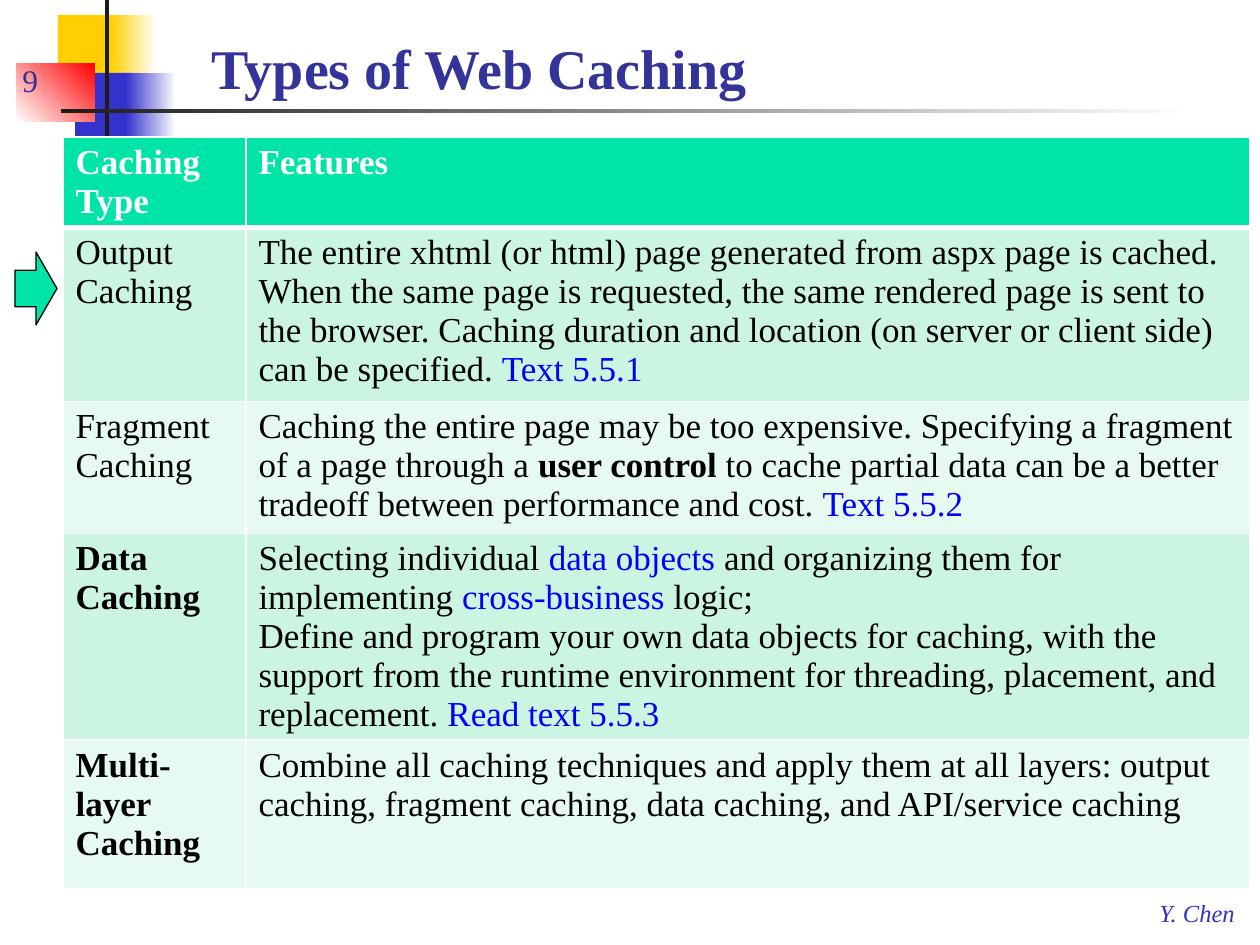
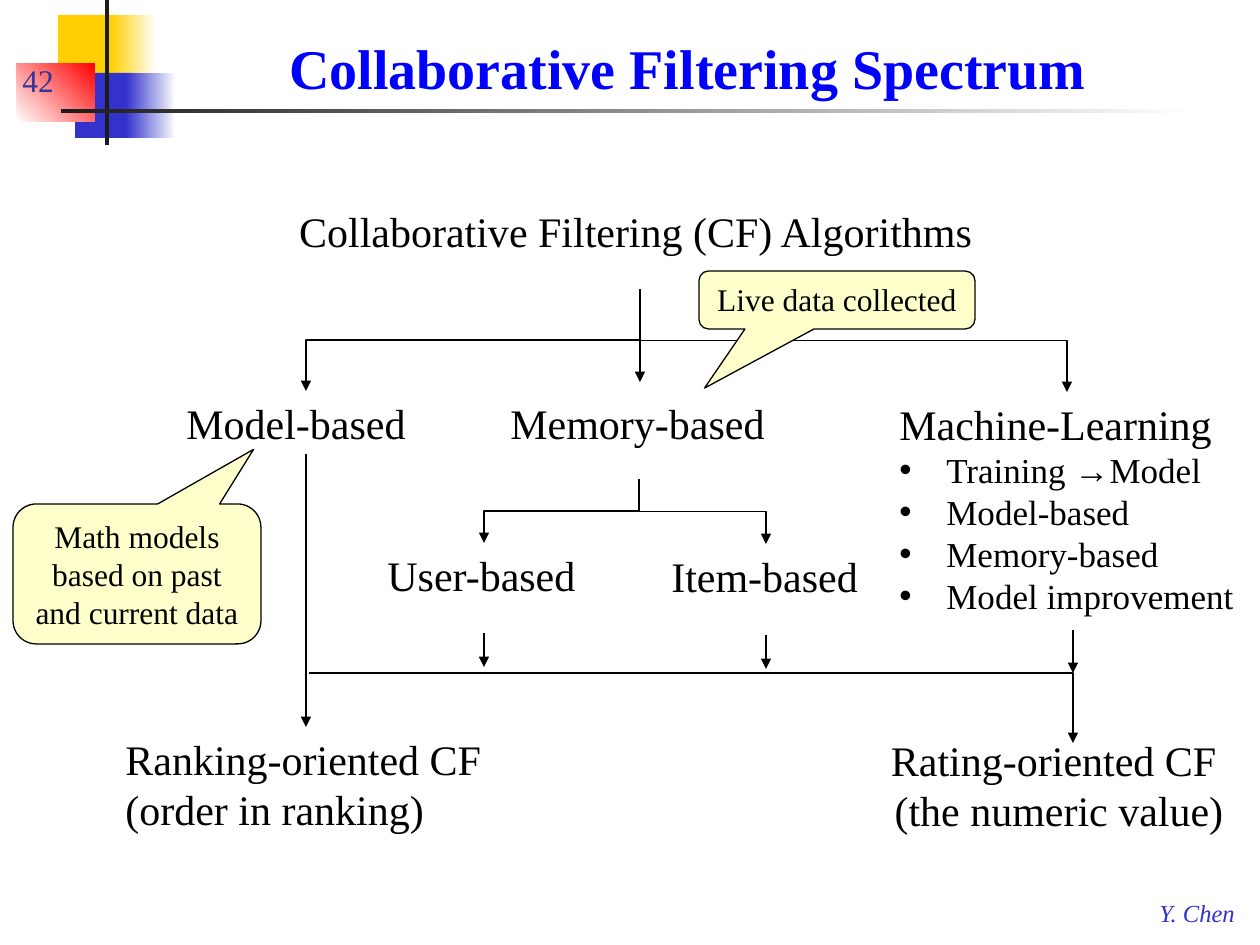
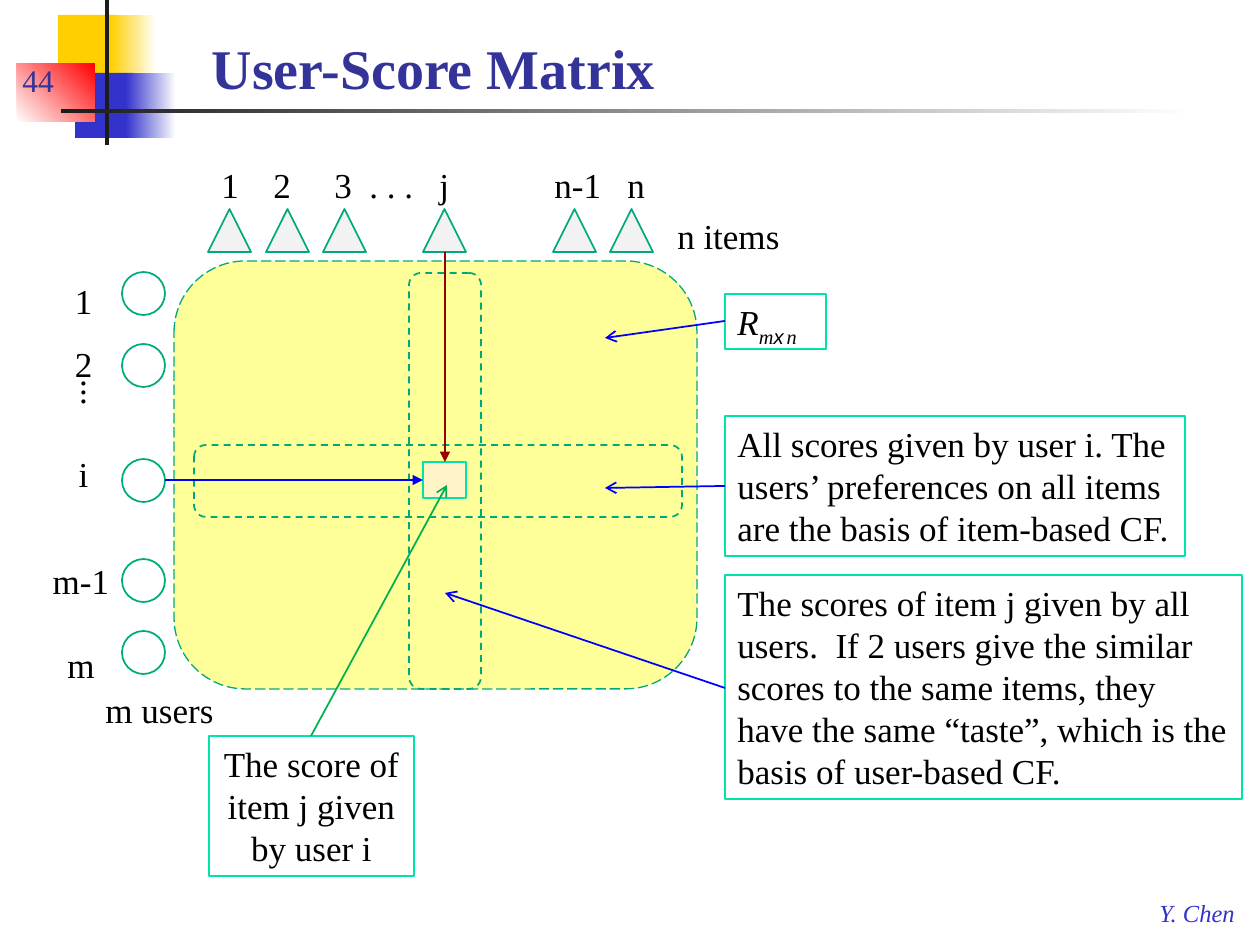
"""Build three lecture slides on web caching and collaborative filtering."""
from lxml import etree
from pptx import Presentation
from pptx.dml.color import RGBColor
from pptx.enum.dml import MSO_LINE
from pptx.enum.shapes import MSO_CONNECTOR, MSO_SHAPE
from pptx.enum.text import MSO_ANCHOR, MSO_AUTO_SIZE, PP_ALIGN
from pptx.oxml.ns import qn
from pptx.util import Inches, Pt

PIXEL = Inches(1) // 126
FONT = "Times New Roman"
LEFT, CENTER = PP_ALIGN.LEFT, PP_ALIGN.CENTER
TOP, BOTTOM = MSO_ANCHOR.TOP, MSO_ANCHOR.BOTTOM
FIXED, GROW = MSO_AUTO_SIZE.NONE, MSO_AUTO_SIZE.SHAPE_TO_FIT_TEXT
RECTANGLE, ROUNDED = MSO_SHAPE.RECTANGLE, MSO_SHAPE.ROUNDED_RECTANGLE
CIRCLE, TRIANGLE = MSO_SHAPE.OVAL, MSO_SHAPE.ISOSCELES_TRIANGLE
RIGHT_ARROW, CALLOUT = MSO_SHAPE.RIGHT_ARROW, MSO_SHAPE.ROUNDED_RECTANGULAR_CALLOUT
STRAIGHT, ELBOW = MSO_CONNECTOR.STRAIGHT, MSO_CONNECTOR.ELBOW
DASH, LONG_DASH = MSO_LINE.DASH, MSO_LINE.LONG_DASH

WHITE = RGBColor(0xFF, 0xFF, 0xFF)
BLACK = RGBColor(0x00, 0x00, 0x00)
CHARCOAL = RGBColor(0x1C, 0x1C, 0x1C)
GOLD = RGBColor(0xFF, 0xCF, 0x01)
RED = RGBColor(0xFF, 0x00, 0x00)
DARK_RED = RGBColor(0x99, 0x00, 0x00)
INDIGO = RGBColor(0x33, 0x33, 0xCC)
NAVY = RGBColor(0x33, 0x33, 0x99)
BLUE = RGBColor(0x00, 0x00, 0xFF)
GREEN = RGBColor(0x00, 0xB0, 0x50)
MINT = RGBColor(0x00, 0xE4, 0xA8)
TEAL = RGBColor(0x00, 0xA9, 0x7C)
BAND_DARK = RGBColor(0xCC, 0xF5, 0xE1)
BAND_LIGHT = RGBColor(0xE7, 0xFA, 0xF1)
CREAM = RGBColor(0xFF, 0xFF, 0xCC)
YELLOW = RGBColor(0xFF, 0xFF, 0x99)
SAND = RGBColor(0xFF, 0xF4, 0xC8)
GRAY = RGBColor(0xF2, 0xF2, 0xF2)


def write(shape, text, size, color=BLACK, alignment=LEFT, wrap=True, spacing=1.0, anchor=TOP):
    frame = shape.text_frame
    frame.text = text
    frame.word_wrap = wrap
    frame.auto_size = FIXED if wrap else GROW
    frame.vertical_anchor = anchor
    for paragraph in frame.paragraphs:
        paragraph.alignment = alignment
        paragraph.line_spacing = spacing
        for run in paragraph.runs:
            run.font.name = FONT
            run.font.size = Pt(size)
            run.font.color.rgb = color
    return frame


def add_arrow(slide, start, end, color=BLACK, width=0.75, head="triangle", elbow=False):
    (x1, y1), (x2, y2) = start, end
    turn = 0
    if elbow:
        turn = 90 if x2 < x1 else 270
        middle_x, middle_y = (x1 + x2) / 2, (y1 + y2) / 2
        half_run, half_rise = (y2 - y1) / 2, abs(x2 - x1) / 2
        if turn == 270:
            half_run = -half_run
        x1, x2 = middle_x - half_run, middle_x + half_run
        y1, y2 = middle_y - half_rise, middle_y + half_rise
    connector = slide.shapes.add_connector(
        ELBOW if elbow else STRAIGHT, *[int(n * PIXEL) for n in (x1, y1, x2, y2)])
    connector.line.color.rgb = color
    connector.line.width = Pt(width)
    etree.SubElement(connector.get_or_add_ln(), qn("a:tailEnd"), type=head)
    properties = connector.element.spPr
    etree.SubElement(properties, qn("a:effectLst"))
    if turn:
        properties.find(qn("a:xfrm")).set("rot", str(turn * 60000))


presentation = Presentation()
presentation.slide_width = Inches(10)
presentation.slide_height = Inches(7.5)
layout = presentation.slide_layouts[5]

slides = []
for title, number, left, width, color, alignment in [
    ("Types of Web Caching", 9, 199, 1050, NAVY, LEFT),
    ("Collaborative Filtering Spectrum", 42, 126, 1124, BLUE, CENTER),
    ("User-Score Matrix", 44, 199, 1050, NAVY, LEFT),
]:
    slide = presentation.slides.add_slide(layout)
    heading = slide.shapes.title
    heading.left, heading.top, heading.width, heading.height = [
        n * PIXEL for n in (left, 21, width, 86)]
    frame = write(heading, title, 32, color, alignment, anchor=BOTTOM)
    frame.paragraphs[0].runs[0].font.bold = True
    page_number = slide.shapes.add_textbox(*[n * PIXEL for n in (10, 42, 95, 63)])
    write(page_number, str(number), 18, NAVY, anchor=BOTTOM)
    slides.append(slide)
caching_slide, spectrum_slide, matrix_slide = slides

for box, first, last, angle in [
    ((58, 15, 60, 66), GOLD, GOLD, 0),
    ((111, 15, 45, 66), GOLD, WHITE, 0),
    ((75, 73, 58, 65), INDIGO, INDIGO, 0),
    ((126, 73, 50, 65), INDIGO, WHITE, 0),
    ((17, 63, 78, 59), WHITE, RED, 45),
    ((105, 0, 4, 145), CHARCOAL, CHARCOAL, 0),
    ((61, 109, 1134, 4), CHARCOAL, WHITE, 0),
]:
    band = caching_slide.shapes.add_shape(RECTANGLE, *[n * PIXEL for n in box])
    band.shadow.inherit = False
    band.line.fill.background()
    if first == last:
        band.fill.solid()
        band.fill.fore_color.rgb = first
    else:
        band.fill.gradient()
        band.fill.gradient_angle = angle
        for stop, color, position in zip(band.fill.gradient_stops, (first, last), (0, 1)):
            stop.color.rgb = color
            stop.position = position
    layout.shapes.element.append(band.element)
footer = caching_slide.shapes.add_textbox(*[n * PIXEL for n in (1147, 892, 103, 42)])
frame = write(footer, "Y. Chen", 14, INDIGO, wrap=False)
frame.paragraphs[0].runs[0].font.italic = True
layout.shapes.element.append(footer.element)

plain, blue, bold, header = (BLACK, False), (BLUE, False), (BLACK, True), (WHITE, True)
caching_rows = [
    (89, MINT, ("Caching Type", header), [[("Features", header)]]),
    (174, BAND_DARK, ("Output Caching", plain), [[
        ("The entire xhtml (or html) page generated from aspx page is cached. When the same page "
         "is requested, the same rendered page is sent to the browser. Caching duration and "
         "location (on server or client side) can be specified. ", plain),
        ("Text 5.5.1", blue)]]),
    (132, BAND_LIGHT, ("Fragment Caching", plain), [[
        ("Caching the entire page may be too expensive. Specifying a fragment of a page "
         "through a ", plain),
        ("user control", bold),
        (" to cache partial data can be a better tradeoff between performance and cost. ", plain),
        ("Text 5.5.2", blue)]]),
    (207, BAND_DARK, ("Data Caching", bold), [
        [("Selecting individual ", plain), ("data objects ", blue),
         ("and organizing them for implementing ", plain), ("cross-business", blue),
         (" logic;", plain)],
        [("Define and program your own data objects for caching, with the support from the "
          "runtime environment for threading, placement, and replacement. ", plain),
         ("Read text 5.5.3", blue)]]),
    (149, BAND_LIGHT, ("Multi-layer Caching", bold), [[
        ("Combine all caching techniques and apply them at all layers: output caching, "
         "fragment caching, data caching, and API/service caching", plain)]]),
]
table = caching_slide.shapes.add_table(
    len(caching_rows), 2, *[n * PIXEL for n in (63, 137, 1187, 751)]).table
table.columns[0].width = 183 * PIXEL
table.columns[1].width = 1004 * PIXEL
for row, (height, band_color, caching_type, features) in enumerate(caching_rows):
    table.rows[row].height = height * PIXEL
    for column, content in enumerate(([[caching_type]], features)):
        cell = table.cell(row, column)
        cell.fill.solid()
        cell.fill.fore_color.rgb = band_color
        for index, pieces in enumerate(content):
            frame = cell.text_frame
            paragraph = frame.add_paragraph() if index else frame.paragraphs[0]
            for text, (color, is_bold) in pieces:
                run = paragraph.add_run()
                run.text = text
                run.font.name = FONT
                run.font.size = Pt(20)
                run.font.bold = is_bold
                run.font.color.rgb = color
for cell in table.rows[0].cells:
    border = etree.Element(qn("a:lnB"), w=str(Pt(3)))
    border_fill = etree.SubElement(border, qn("a:solidFill"))
    etree.SubElement(border_fill, qn("a:srgbClr"), val=str(WHITE))
    cell._tc.get_or_add_tcPr().insert(0, border)

pointer = caching_slide.shapes.add_shape(RIGHT_ARROW, *[n * PIXEL for n in (15, 252, 42, 73)])
pointer.shadow.inherit = False
pointer.fill.solid()
pointer.fill.fore_color.rgb = MINT
pointer.line.color.rgb = BLACK
pointer.line.width = Pt(0.75)

for text, box, alignment in [
    ("Collaborative Filtering (CF) Algorithms ", (284, 199, 714, 89), CENTER),
    ("Rating-oriented CF \n(the numeric value)", (877, 728, 364, 115), CENTER),
    ("Ranking-oriented CF\n(order in ranking)", (113, 727, 384, 115), LEFT),
    ("Memory-based", (498, 391, 282, 89), LEFT),
    ("Model-based", (174, 391, 265, 63), LEFT),
    ("Item-based", (659, 544, 214, 89), LEFT),
    ("User-based", (375, 543, 215, 89), LEFT),
]:
    label = spectrum_slide.shapes.add_textbox(*[n * PIXEL for n in box])
    write(label, text, 24, alignment=alignment, wrap=False)

learning = spectrum_slide.shapes.add_textbox(*[n * PIXEL for n in (887, 392, 362, 285)])
frame = write(learning, "Machine-Learning\nTraining →Model\nModel-based\nMemory-based\n"
              "Model improvement", 24, wrap=False)
for paragraph in frame.paragraphs[1:]:
    paragraph.runs[0].font.size = Pt(20)
    properties = paragraph._p.get_or_add_pPr()
    properties.set("marL", str(47 * PIXEL))
    properties.set("indent", str(-47 * PIXEL))
    etree.SubElement(properties, qn("a:buFont"), typeface="Arial")
    etree.SubElement(properties, qn("a:buChar"), char="•")

for start, end in [
    ((640, 289), (306, 391)),
    ((640, 289), (1067, 392)),
    ((639, 479), (484, 543)),
    ((639, 479), (766, 544)),
]:
    add_arrow(spectrum_slide, start, end, elbow=True)
for start, end in [
    ((306, 454), (306, 727)),
    ((484, 633), (484, 667)),
    ((766, 635), (766, 669)),
    ((640, 339), (640, 382)),
    ((1073, 630), (1073, 673)),
]:
    add_arrow(spectrum_slide, start, end)

builder = spectrum_slide.shapes.build_freeform(309, 673, scale=PIXEL)
builder.add_line_segments([(1073, 673), (1073, 743)], close=False)
rating_path = builder.convert_to_shape()
rating_path.shadow.inherit = False
rating_path.fill.background()
rating_path.line.color.rgb = BLACK
rating_path.line.width = Pt(0.75)
etree.SubElement(rating_path.get_or_add_ln(), qn("a:tailEnd"), type="triangle")

for text, box, tip_x, tip_y in [
    ("Math models based on past and current data", (13, 504, 248, 140), 0.47, -0.89),
    ("Live data collected", (699, 271, 276, 58), -0.48, 1.52),
]:
    callout = spectrum_slide.shapes.add_shape(CALLOUT, *[n * PIXEL for n in box])
    callout.shadow.inherit = False
    callout.adjustments[0] = tip_x
    callout.adjustments[1] = tip_y
    callout.fill.solid()
    callout.fill.fore_color.rgb = CREAM
    callout.line.color.rgb = BLACK
    callout.line.width = Pt(0.75)
    write(callout, text, 18, alignment=CENTER)

matrix_shapes = [(ROUNDED, (174, 261, 523, 428), YELLOW, TEAL, 0.75, LONG_DASH, 0)]
matrix_shapes += [(CIRCLE, (122, top, 43, 43), WHITE, TEAL, 1, None, 0)
                  for top in (272, 344, 459, 559, 631)]
matrix_shapes += [(TRIANGLE, (left, 209, 43, 43), GRAY, TEAL, 1, None, 0)
                  for left in (208, 266, 323, 423, 553, 610)]
matrix_shapes += [
    (RECTANGLE, (423, 462, 43, 36), SAND, MINT, 1, None, 0),
    (ROUNDED, (194, 445, 488, 72), None, TEAL, 1, DASH, 0),
    (ROUNDED, (237, 445, 416, 72), None, TEAL, 1, DASH, 90),
]
for kind, box, fill, line, width, dash, rotation in matrix_shapes:
    shape = matrix_slide.shapes.add_shape(kind, *[n * PIXEL for n in box])
    shape.shadow.inherit = False
    shape.rotation = rotation
    if fill is None:
        shape.fill.background()
    else:
        shape.fill.solid()
        shape.fill.fore_color.rgb = fill
    shape.line.color.rgb = line
    shape.line.width = Pt(width)
    if dash is not None:
        shape.line.dash_style = dash

frames = []
for text, box, alignment, spacing, wrap in [
    ("1\n2\n.\n.\n.\ni", (62, 252, 43, 302), CENTER, 1.0, False),
    ("m-1\nm", (40, 532, 82, 161), CENTER, 1.5, False),
    ("m users", (93, 682, 134, 55), LEFT, 1.0, False),
    ("n items", (664, 208, 129, 55), CENTER, 1.0, False),
    ("1\t2\t3\t. . .\tj\tn-1\tn", (209, 157, 462, 55), LEFT, 1.0, True),
]:
    label = matrix_slide.shapes.add_textbox(*[n * PIXEL for n in box])
    frames.append(write(label, text, 20, alignment=alignment, spacing=spacing, wrap=wrap))
user_frame, last_user_frame, item_frame = frames[0], frames[1], frames[-1]
for paragraph in user_frame.paragraphs[:2]:
    paragraph.line_spacing = 1.5
for paragraph in user_frame.paragraphs[2:5]:
    paragraph.line_spacing = Pt(5)
user_frame.paragraphs[5].space_before = Pt(24)
for paragraph in last_user_frame.paragraphs:
    paragraph.space_before = Pt(12)
tab_list = etree.SubElement(item_frame.paragraphs[0]._p.get_or_add_pPr(), qn("a:tabLst"))
for position in (52, 113, 148, 218, 333, 406):
    etree.SubElement(tab_list, qn("a:tab"), pos=str(position * PIXEL), algn="l")

for text, box, alignment in [
    ("The score of item j given by user i", (209, 736, 205, 140), CENTER),
    ("All scores given by user i. The users’ preferences on all items are the basis of "
     "item-based CF.", (725, 416, 460, 140), LEFT),
    ("The scores of item j given by all users.  If 2 users give the similar scores to the same "
     "items, they have the same “taste”, which is the basis of user-based CF.",
     (725, 575, 517, 224), LEFT),
    ("R", (725, 294, 101, 55), LEFT),
]:
    note = matrix_slide.shapes.add_textbox(*[n * PIXEL for n in box])
    note.line.color.rgb = MINT
    note.line.width = Pt(0.75)
    frame = write(note, text, 20, alignment=alignment)
symbol = frame.paragraphs[0]
symbol.runs[0].font.italic = True
for text, font_name, size in [("m", FONT, 20), ("x", "Arial", 20), (" ", "Arial", 10.5),
                              ("n", FONT, 20)]:
    run = symbol.add_run()
    run.text = text
    run.font.name = font_name
    run.font.size = Pt(size)
    run.font.italic = True
    run.font.color.rgb = BLACK
    run._r.get_or_add_rPr().set("baseline", "-25000")

for start, end, color, width, head in [
    ((165, 480), (423, 480), BLUE, 1, "triangle"),
    ((445, 252), (445, 462), DARK_RED, 0.75, "triangle"),
    ((311, 736), (447, 485), GREEN, 1, "arrow"),
    ((725, 486), (605, 488), BLUE, 1, "arrow"),
    ((725, 688), (445, 593), BLUE, 1, "arrow"),
    ((725, 321), (605, 338), BLUE, 1, "arrow"),
]:
    add_arrow(matrix_slide, start, end, color, width, head)

presentation.save("out.pptx")
